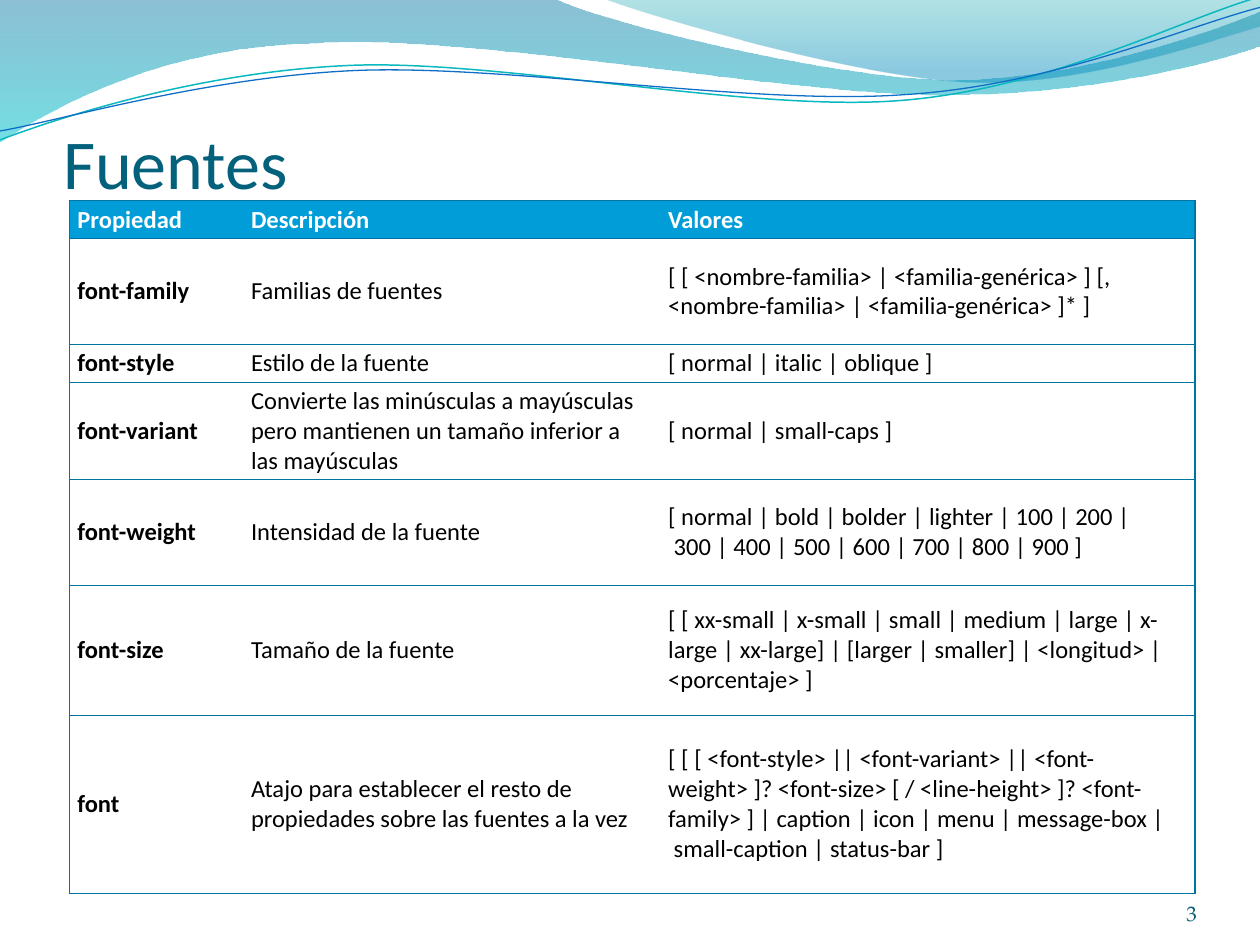
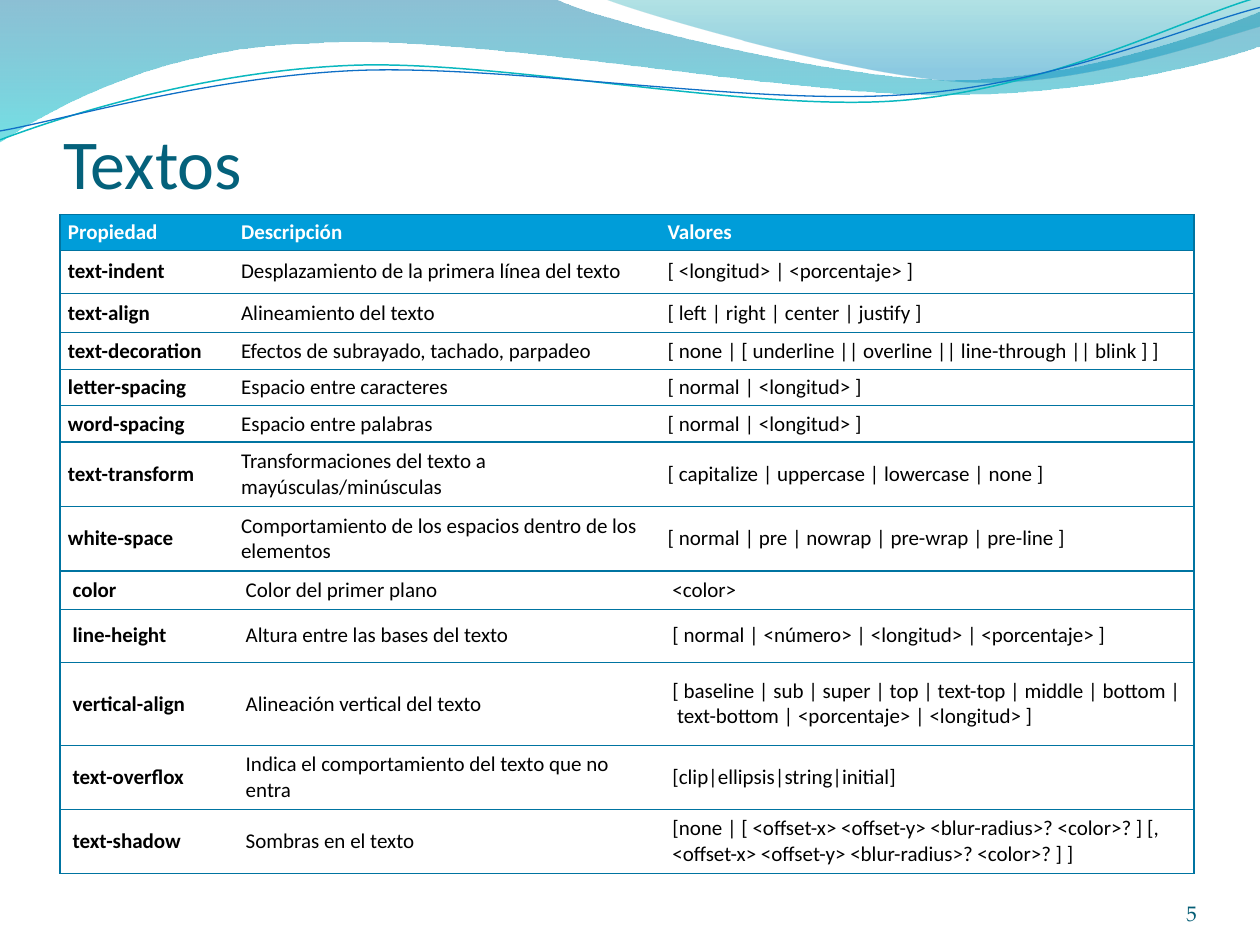
"""Build two slides listing the CSS font and text properties under a wave banner."""
from math import cos, radians, sin
from lxml.etree import SubElement
from pptx import Presentation
from pptx.dml.color import RGBColor
from pptx.enum.text import MSO_ANCHOR as Anchor, MSO_AUTO_SIZE as AutoSize, PP_ALIGN as Align
from pptx.oxml import parse_xml
from pptx.oxml.ns import nsdecls, qn
from pptx.util import Cm, Pt

TITLE_COLOR = RGBColor(0x04, 0x61, 0x7B)
NUMBER_COLOR = RGBColor(0x04, 0x5D, 0x75)
HEADER_FILL = RGBColor(0x00, 0x9D, 0xD9)
BORDER_COLOR = RGBColor(0x00, 0x74, 0xA1)
WHITE = RGBColor(0xFF, 0xFF, 0xFF)
BLACK = RGBColor(0x00, 0x00, 0x00)
BAND_BLUE = RGBColor(0x00, 0x74, 0xA1)
BAND_AQUA = RGBColor(0x00, 0xC6, 0xCF)
CREST_TEAL = RGBColor(0x00, 0xA1, 0xA9)
CREST_BLUE = RGBColor(0x00, 0x8B, 0xBF)
LINE_TEAL = RGBColor(0x0A, 0xB8, 0xBF)
LINE_BLUE = RGBColor(0x0F, 0x6F, 0xC6)
BODY_FONT = "Calibri"
NUMBER_FONT = "TeX Gyre Pagella"
PLAIN_TABLE_STYLE = "{2D5ABB26-0587-4C30-8999-92F81FD0307C}"
LINE_TILT = 2.7
LINE_PIVOT = (12.68, 1.48)
HEADINGS = ("Propiedad", "Descripción", "Valores")

BANDS = [
    ((0, 0),
     [(11.18, -0.03), (12.09, 0.43, 16.87, 1.6, 19.25, 1.6), (21.67, 1.6, 24.33, 0.66, 25.4, 0.23),
      (25.43, 0.91), (24.97, 1.12, 22.1, 1.93, 18.95, 1.91), (15.8, 1.91, 9.7, 0.71, 6.53, 0.86),
      (3.28, 0.91, 1.17, 2.11, -0.03, 2.87), (0, 0)],
     [(0, BAND_BLUE, 45), (1, BAND_AQUA, 55)]),
    ((12.17, -0.03),
     [(12.93, 0.28, 17.32, 1.57, 19.53, 1.65), (21.74, 1.75, 24.41, 0.81, 25.4, 0.53), (25.4, 0),
      (12.17, -0.03)],
     [(0, CREST_TEAL, 30), (0.8, CREST_BLUE, 45)]),
]
WAVE_LINES = [
    ((0, 2.82),
     [(1.22, 2.36, 4.01, 1.45, 7.04, 1.32), (10.03, 1.19, 15.06, 2.26, 18.11, 2.03),
      (21.16, 1.8, 23.83, 0.38, 25.35, -0.05)],
     LINE_TEAL, 0.85),
    ((0, 2.64),
     [(1.19, 2.44, 4.17, 1.55, 7.19, 1.42), (10.24, 1.3, 15.16, 2.13, 18.21, 1.91),
      (21.23, 1.73, 23.9, 0.53, 25.4, 0.15)],
     LINE_BLUE, 0.75),
]

FONT_ROWS = [
    (2.13, "font-family", "Familias de fuentes",
     "[ [ <nombre-familia> | <familia-genérica> ] [, <nombre-familia> | <familia-genérica> ]* ]"),
    (0.66, "font-style", "Estilo de la fuente", "[~normal~|~italic~|~oblique~]"),
    (1.63, "font-variant",
     "Convierte las minúsculas a mayúsculas pero mantienen un tamaño inferior a las mayúsculas",
     "[~normal~|~small-caps~]"),
    (2.13, "font-weight", "Intensidad de la fuente",
     "[~normal~|~bold~|~bolder~|~lighter~|~100~|~200~|~300~|~400~|~500~|~600~|~700~|~800~|~900~]"),
    (2.62, "font-size", "Tamaño de la fuente",
     "[ [~xx-small~|~x-small~|~small~|~medium~|~large~|~x-large~|~xx-large] | "
     "[larger~|~smaller] | <longitud> | <porcentaje> ]"),
    (3.59, "font", "Atajo para establecer el resto de propiedades sobre las fuentes a la vez",
     "[ [ [ <font-style> || <font-variant> || <font-weight> ]? <font-size> [ / <line-height> ]? "
     "<font-family> ] |~caption~|~icon~|~menu~|~message-box~|~small-caption~|~status-bar~]"),
]
TEXT_ROWS = [
    (0.86, "text-indent", "Desplazamiento de la primera línea del texto",
     "[ <longitud> | <porcentaje> ]"),
    (0.8, "text-align", "Alineamiento del texto", "[~left~|~right~|~center~|~justify~]"),
    (0.74, "text-decoration", "Efectos de subrayado, tachado, parpadeo",
     "[~none~| [~underline~||~overline~||~line-through~||~blink~] ]"),
    (0.73, "letter-spacing", "Espacio entre caracteres", "[~normal~| <longitud> ]"),
    (0.73, "word-spacing", "Espacio entre palabras", "[~normal~| <longitud> ]"),
    (1.3, "text-transform", "Transformaciones del texto a mayúsculas/minúsculas",
     "[~capitalize~|~uppercase~|~lowercase~|~none~]"),
    (1.3, "white-space", "Comportamiento de los espacios dentro de los elementos",
     "[~normal~|~pre~|~nowrap~|~pre-wrap~|~pre-line~]"),
    (0.71, "color", "Color del primer plano", "<color>"),
    (1.07, "line-height", "Altura entre las bases del texto",
     "[~normal~| <número> | <longitud> | <porcentaje> ]"),
    (1.68, "vertical-align", "Alineación vertical del texto",
     "[~baseline~|~sub~|~super~|~top~|~text-top~|~middle~|~bottom~|~text-bottom~| "
     "<porcentaje> | <longitud> ]"),
    (1.02, "text-overflox", "Indica el comportamiento del texto que no entra",
     "[clip|ellipsis|string|initial]"),
    (1.17, "text-shadow", "Sombras en el texto",
     "[none | [ <offset-x> <offset-y> <blur-radius>? <color>? ] [, "
     "<offset-x> <offset-y> <blur-radius>? <color>? ] ]"),
]
PAGES = [
    {"title": "Fuentes", "number": "3", "left": 1.4, "top": 4.05, "columns": (3.5, 8.41, 10.78),
     "header_height": 0.66, "size": 14, "tight_rows": 7, "rows": FONT_ROWS},
    {"title": "Textos", "number": "5", "left": 1.21, "top": 4.32, "columns": (3.49, 8.6, 10.77),
     "header_height": 0.73, "size": 12, "tight_rows": 8, "rows": TEXT_ROWS},
]


def draw_wave(slide, start, segments, close, tilt=0):
    """Draw straight (x, y) and cubic six-number segments, in centimetres, as one freeform."""
    points = [start] + [segment[i:i + 2] for segment in segments for i in range(0, len(segment), 2)]
    cosine, sine = cos(radians(tilt)), sin(radians(tilt))
    offsets = [(x - LINE_PIVOT[0], y - LINE_PIVOT[1]) for x, y in points]
    corners = [(Cm(LINE_PIVOT[0] + x * cosine - y * sine), Cm(LINE_PIVOT[1] + x * sine + y * cosine))
               for x, y in offsets]
    builder = slide.shapes.build_freeform(*corners[0])
    builder.add_line_segments(corners[1:], close=close)
    shape = builder.convert_to_shape()
    shape.rotation = -tilt % 360
    shape.shadow.inherit = False
    outline = next(shape.element.iter(qn("a:path")))
    strokes = iter(outline.findall(qn("a:lnTo")))
    for segment in segments:
        pieces = [next(strokes) for _ in range(len(segment) // 2)]
        if len(pieces) == 3:
            curve = parse_xml(f'<a:cubicBezTo {nsdecls("a")}/>')
            pieces[0].addprevious(curve)
            for piece in pieces:
                curve.append(piece[0])
                outline.remove(piece)
    return shape


def format_text(paragraph, font_name, size, color, bold=False):
    """Give every run of a paragraph one font."""
    for run in paragraph.runs:
        run.font.name = font_name
        run.font.size = Pt(size)
        run.font.color.rgb = color
        run.font.bold = bold


presentation = Presentation()
presentation.slide_width = Cm(25.4)
presentation.slide_height = Cm(19.05)
master = presentation.slide_master
layout = presentation.slide_layouts[5]
for placeholder in list(layout.placeholders):
    if placeholder.placeholder_format.idx:
        layout.shapes.element.remove(placeholder.element)
slides = [presentation.slides.add_slide(layout) for page in PAGES]

bands = []
for start, segments, stops in BANDS:
    band = draw_wave(slides[0], start, segments, True)
    band.line.fill.background()
    band.fill.gradient()
    band.fill.gradient_angle = 270
    for stop, (position, color, opacity) in zip(band.fill.gradient_stops, stops):
        stop.position = position
        stop.color.rgb = color
    gradient_colors = band.element.spPr.iter(qn("a:srgbClr"))
    for gradient_color, (position, color, opacity) in zip(gradient_colors, stops):
        SubElement(gradient_color, qn("a:alpha"), val=str(opacity * 1000))
    bands.append(band)
wave_lines = []
for start, segments, color, width in WAVE_LINES:
    wave_line = draw_wave(slides[0], start, segments, False, LINE_TILT)
    wave_line.fill.background()
    wave_line.line.color.rgb = color
    wave_line.line.width = Pt(width)
    wave_lines.append(wave_line)
line_group = slides[0].shapes.add_group_shape(wave_lines)
next_id = 20
for order, wave in enumerate(bands + [line_group]):
    for properties in wave.element.iter(qn("p:cNvPr")):
        properties.set("id", str(next_id))
        next_id += 1
    master.shapes.element.insert(2 + order, wave.element)

for slide, page in zip(slides, PAGES):
    title = slide.shapes.title
    title.left, title.top, title.width, title.height = Cm(1.27), Cm(0.93), Cm(23.62), Cm(3.18)
    frame = title.text_frame
    frame.text = page["title"]
    frame.auto_size = AutoSize.NONE
    frame.vertical_anchor = Anchor.BOTTOM
    frame.margin_left = frame.margin_right = frame.margin_bottom = 0
    frame.margin_top = Cm(0.13)
    frame.paragraphs[0].alignment = Align.LEFT
    format_text(frame.paragraphs[0], BODY_FONT, 40, TITLE_COLOR)

    heights = [page["header_height"]] + [row[0] for row in page["rows"]]
    texts = [HEADINGS] + [row[1:] for row in page["rows"]]
    last_row = len(texts) - 1
    table = slide.shapes.add_table(len(texts), len(HEADINGS), Cm(page["left"]), Cm(page["top"]),
                                   Cm(sum(page["columns"])), Cm(sum(heights))).table
    next(table._tbl.iter(qn("a:tableStyleId"))).text = PLAIN_TABLE_STYLE
    table.horz_banding = False
    for column, width in zip(table.columns, page["columns"]):
        column.width = Cm(width)
    for row_index, (height, row_texts) in enumerate(zip(heights, texts)):
        table.rows[row_index].height = Cm(height)
        is_header = row_index == 0
        is_ruled = row_index % 2 == 1
        for column_index, text in enumerate(row_texts):
            cell = table.cell(row_index, column_index)
            cell.text_frame.text = text.replace("~", "\u00a0")
            cell.vertical_anchor = Anchor.MIDDLE
            if row_index < page["tight_rows"]:
                cell.margin_left = cell.margin_right = Cm(0.16)
                cell.margin_top = cell.margin_bottom = Cm(0.08)
            format_text(cell.text_frame.paragraphs[0], BODY_FONT, page["size"],
                        WHITE if is_header else BLACK, is_header or column_index == 0)
            if is_header:
                cell.fill.solid()
                cell.fill.fore_color.rgb = HEADER_FILL
            else:
                cell.fill.background()
            edges = {"lnL": column_index == 0, "lnR": column_index == len(HEADINGS) - 1,
                     "lnT": is_header or is_ruled, "lnB": is_ruled or row_index == last_row}
            drawn_edges = [edge for edge, visible in edges.items() if visible]
            for order, edge in enumerate(drawn_edges):
                cell._tc.get_or_add_tcPr().insert(order, parse_xml(
                    f'<a:{edge} {nsdecls("a")} w="{Pt(0.75)}"><a:solidFill>'
                    f'<a:srgbClr val="{BORDER_COLOR}"/></a:solidFill></a:{edge}>'))

    number_box = slide.shapes.add_textbox(Cm(22.02), Cm(17.65), Cm(2.11), Cm(1.02))
    frame = number_box.text_frame
    frame.text = page["number"]
    frame.word_wrap = True
    frame.vertical_anchor = Anchor.BOTTOM
    frame.margin_left = frame.margin_right = frame.margin_top = frame.margin_bottom = 0
    frame.paragraphs[0].alignment = Align.RIGHT
    format_text(frame.paragraphs[0], NUMBER_FONT, 12, NUMBER_COLOR)

presentation.save("out.pptx")
